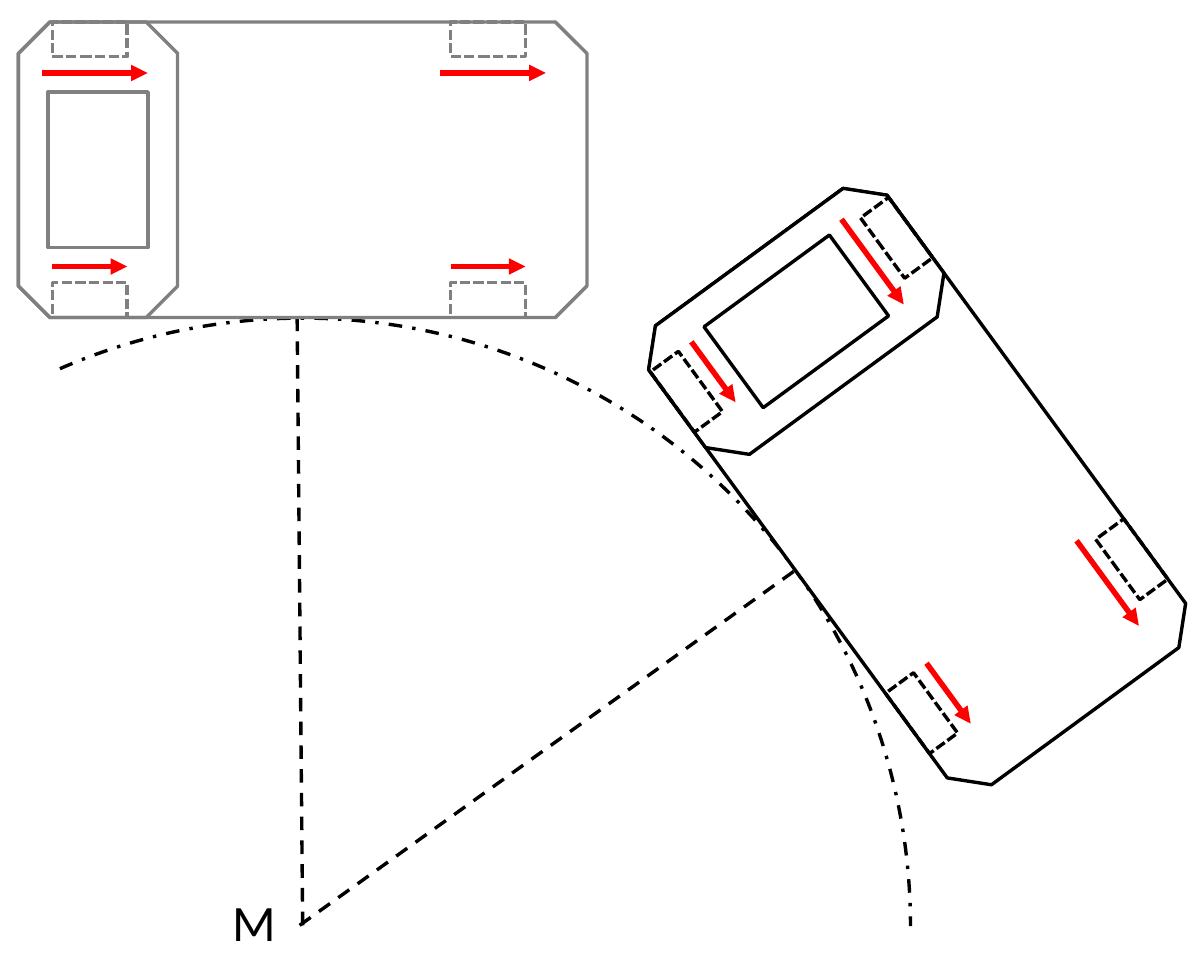
from math import cos, radians, sin

from lxml import etree
from pptx import Presentation
from pptx.dml.color import RGBColor
from pptx.enum.dml import MSO_LINE
from pptx.enum.shapes import MSO_CONNECTOR, MSO_SHAPE
from pptx.enum.text import MSO_AUTO_SIZE
from pptx.oxml.ns import qn
from pptx.util import Pt

ARC, OCTAGON, RECTANGLE = MSO_SHAPE.ARC, MSO_SHAPE.OCTAGON, MSO_SHAPE.RECTANGLE
STRAIGHT = MSO_CONNECTOR.STRAIGHT
DASH, DASH_DOT, SQUARE_DOT = MSO_LINE.DASH, MSO_LINE.DASH_DOT, MSO_LINE.SQUARE_DOT

COLORS = {"black": "000000", "grey": "808080", "red": "FF0000", "white": "FFFFFF"}
LABEL_FONT = {"name": "Calibri", "size": Pt(60)}
OUTLINE, ARROW_WIDTH = 4, 6.5


def color(name):
    return RGBColor.from_string(COLORS[name])


def format_line(line, line_color, width=OUTLINE, dash=None):
    line.color.rgb = color(line_color)
    for name, value in {"width": Pt(width), "dash_style": dash}.items():
        setattr(line, name, value)


def add_outline(slide, kind, box, line_color, fill=None, dash=None, angle=0):
    shape = slide.shapes.add_shape(kind, *(Pt(length) for length in box))
    shape.shadow.inherit = False
    shape.rotation = angle
    if fill:
        shape.fill.solid()
        shape.fill.fore_color.rgb = color(fill)
    else:
        shape.fill.background()
    format_line(shape.line, line_color, dash=dash)
    return shape


def add_line(slide, start, end, line_color, width=OUTLINE, dash=None, arrow=False):
    connector = slide.shapes.add_connector(STRAIGHT, *(Pt(length) for length in (*start, *end)))
    format_line(connector.line, line_color, width, dash)
    properties = connector._element.spPr
    if arrow:
        etree.SubElement(properties.find(qn("a:ln")), qn("a:tailEnd"), type="triangle")
    etree.SubElement(properties, qn("a:effectLst"))


def add_turning_circle(slide, box):
    """Arc, its two radii and the label of its centre."""
    left, top, width, height = box
    center_x, center_y = left + width / 2, top + height / 2

    # Radii to both vehicle positions
    add_line(slide, (center_x, center_y - 1), (center_x - 6.5, top - 0.7), "black", dash=DASH)
    add_line(slide, (center_x - 3.6, center_y - 1), (center_x + 580.3, center_y - 419),
             "black", dash=DASH)

    # Arc, starting at 246.46 degrees and ending at 0
    arc = add_outline(slide, ARC, box, "black", dash=DASH_DOT)
    arc.adjustments[0] = 246.46 * 0.6
    arc.adjustments[1] = 0

    # Centre label
    label = slide.shapes.add_textbox(Pt(center_x - 90), Pt(center_y - 46), Pt(50), Pt(80))
    frame = label.text_frame
    for name, value in {"word_wrap": True, "auto_size": MSO_AUTO_SIZE.SHAPE_TO_FIT_TEXT}.items():
        setattr(frame, name, value)
    run = frame.paragraphs[0].add_run()
    run.text = "M"
    for name, value in LABEL_FONT.items():
        setattr(run.font, name, value)
    run.font.color.rgb = color("black")


def add_vehicle(slide, box, angle, line_color, fill=None):
    """Vehicle from above, turned about the middle of its box."""
    left, top, width, height = box
    center_x, center_y = left + width / 2, top + height / 2
    cosine, sine = cos(radians(angle)), sin(radians(angle))

    def turned(x, y):
        return center_x + x * cosine - y * sine, center_y + x * sine + y * cosine

    def add_part(kind, x, y, part_width, part_height, **style):
        part_x, part_y = turned(x, y)
        part_box = (part_x - part_width / 2, part_y - part_height / 2, part_width, part_height)
        return add_outline(slide, kind, part_box, line_color, angle=angle, **style)

    # Body, cab and roof
    body = add_part(OCTAGON, 0, 0, width, height, fill=fill)
    body.adjustments[0] = 0.107
    cab_width = 0.28 * width
    cab = add_part(OCTAGON, (cab_width - width) / 2, 0, cab_width, height, fill=fill)
    cab.adjustments[0] = 0.197
    add_part(RECTANGLE, (cab_width - width) / 2, 0, 118, 183, fill=fill)

    # Wheels with speed arrows, longer on the outer side
    wheel_width, wheel_height = 88, 41
    wheel_y = (height - wheel_height) / 2
    for side, arrow_start, arrow_end in ((-1, -56, 68), (1, -44, 44)):
        for wheel_x in (-250.6, 218.2):
            add_part(RECTANGLE, wheel_x, side * wheel_y, wheel_width, wheel_height,
                     dash=SQUARE_DOT)
            arrow_y = side * (wheel_y - 39.5)
            add_line(slide, turned(wheel_x + arrow_start, arrow_y),
                     turned(wheel_x + arrow_end, arrow_y), "red", ARROW_WIDTH, arrow=True)


def main():
    presentation = Presentation()
    presentation.slide_width, presentation.slide_height = Pt(1417.7), Pt(1131.1)
    slide = presentation.slides.add_slide(presentation.slide_layouts[6])

    add_turning_circle(slide, (-359.3, 374.4, 1431.4, 1431.4))
    add_vehicle(slide, (21.6, 25.9, 669.6, 347.8), 0, "grey")
    add_vehicle(slide, (745.2, 398.9, 669.6, 347.8), 53.8, "black", "white")

    presentation.save("out.pptx")


if __name__ == "__main__":
    main()
